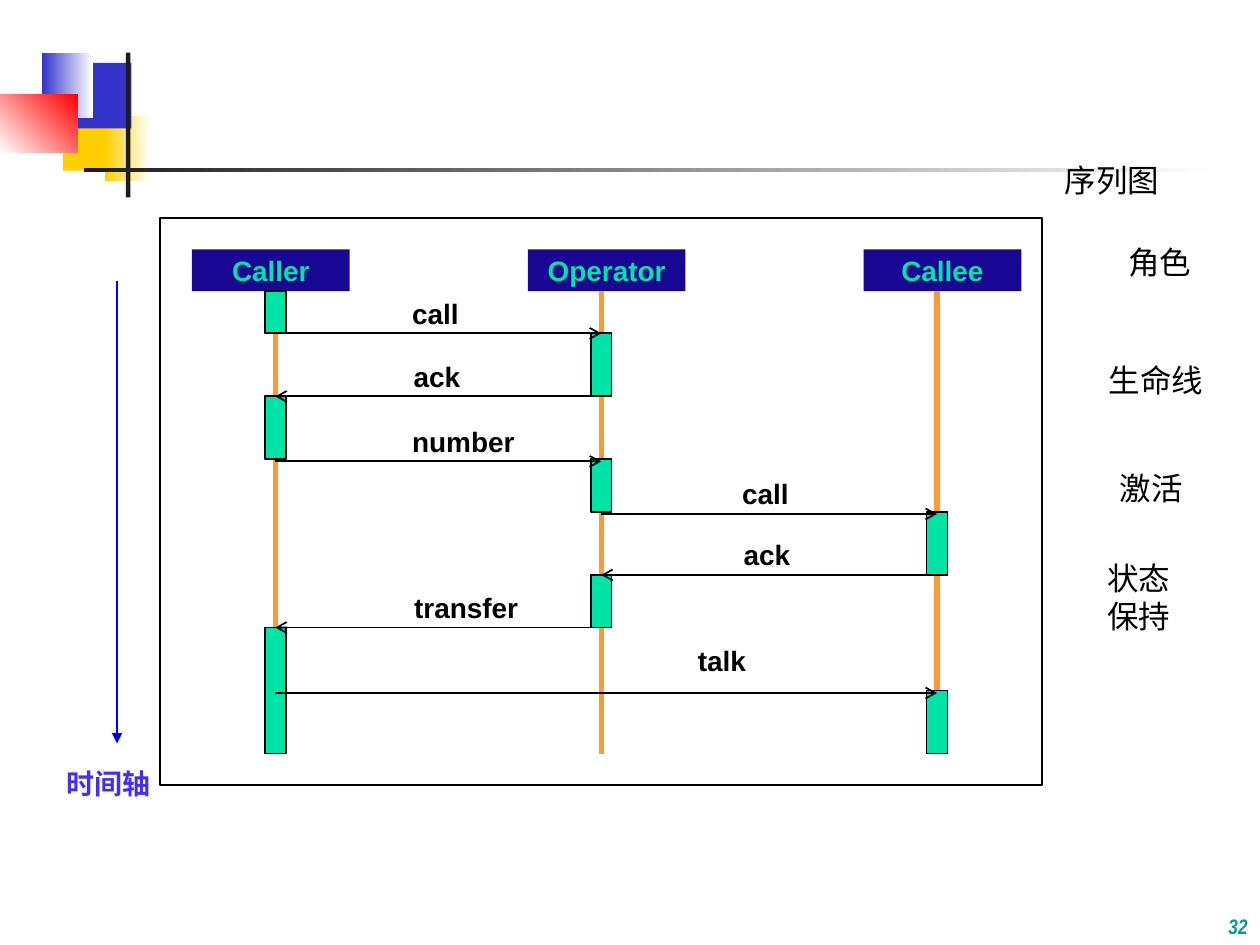
from dataclasses import dataclass
from lxml.etree import SubElement
from pptx import Presentation
from pptx.dml.color import RGBColor
from pptx.enum.shapes import MSO_CONNECTOR, MSO_SHAPE
from pptx.enum.text import MSO_ANCHOR, PP_ALIGN
from pptx.oxml.ns import qn
from pptx.util import Cm, Pt


@dataclass(frozen=True)
class Theme:
    """Colours, fonts and type sizes of the slide."""
    ink: str = "000000"
    bar: str = "1C1C1C"
    white: str = "FFFFFF"
    gold: str = "FFCF01"
    blue: str = "3333CC"
    red: str = "FF0000"
    navy: str = "180793"
    mint: str = "00E4A8"
    lane: str = "FF9933"
    axis: str = "0000FF"
    time: str = "452DF5"
    teal: str = "009999"
    font: str = "Arial"
    thin: str = "Arial Narrow"
    small: int = 12
    label: int = 16
    note: int = 18


T = Theme()


def rgb(code):
    """Turn a hex code into a colour."""
    return RGBColor.from_string(code)


def block(slide, x, y, w, h, fill=None, line=None, fade=None, angle=0):
    """Draw a rectangle with a plain, faded or empty fill."""
    shape = slide.shapes.add_shape(MSO_SHAPE.RECTANGLE, Cm(x), Cm(y), Cm(w), Cm(h))
    shape.shadow.inherit = False
    if fade:
        shape.fill.gradient()
        shape.fill.gradient_angle = angle
        for stop, code, place in zip(shape.fill.gradient_stops, (fill, fade), (0, 1)):
            stop.color.rgb = rgb(code)
            stop.position = place
    elif fill:
        shape.fill.solid()
        shape.fill.fore_color.rgb = rgb(fill)
    else:
        shape.fill.background()
    if line:
        shape.line.color.rgb = rgb(line)
        shape.line.width = Pt(1)
    else:
        shape.line.fill.background()
    return shape


def write(shape, text, size, color, bold=False, italic=False, font=T.font,
          align=PP_ALIGN.LEFT, anchor=MSO_ANCHOR.TOP):
    """Put one styled run into a shape."""
    frame = shape.text_frame
    frame.word_wrap = True
    frame.vertical_anchor = anchor
    para = frame.paragraphs[0]
    para.alignment = align
    run = para.add_run()
    run.text = text
    run.font.name = font
    run.font.size = Pt(size)
    run.font.bold = bold
    run.font.italic = italic
    run.font.color.rgb = rgb(color)


def label(slide, x, y, w, h, text, size, color, **style):
    """Add a text box."""
    write(slide.shapes.add_textbox(Cm(x), Cm(y), Cm(w), Cm(h)), text, size, color, **style)


def link(slide, x1, y1, x2, y2, color, width=1, head=None):
    """Draw a straight line with an optional arrowhead."""
    line = slide.shapes.add_connector(MSO_CONNECTOR.STRAIGHT, Cm(x1), Cm(y1), Cm(x2), Cm(y2))
    line.line.color.rgb = rgb(color)
    line.line.width = Pt(width)
    if head:
        SubElement(line.line._get_or_add_ln(), qn("a:tailEnd"), type=head)
    SubElement(line._element.spPr, qn("a:effectLst"))


def motif(slide, x, y):
    """Draw the corner squares and the title rules."""
    for dx, dy, w, h, fill, fade, angle in (
        (1.27, 1.06, 1.22, 1.32, T.gold, None, 0),
        (2.12, 1.27, 0.91, 1.32, T.gold, T.white, 0),
        (1.48, 0.21, 1.17, 1.32, T.blue, None, 0),
        (0.85, 0, 1.02, 1.32, T.blue, T.white, 0),
        (0, 0.85, 1.56, 1.17, T.white, T.red, 45),
        (2.54, 0, 0.09, 2.92, T.bar, None, 0),
        (1.69, 2.33, 22.86, 0.08, T.bar, T.white, 0),
    ):
        block(slide, x + dx, y + dy, w, h, fill, fade=fade, angle=angle)


def chart(slide, x, y, w, h):
    """Draw the sequence diagram inside its frame."""
    lanes = (2.32, 8.89, 15.66)
    top, end, thick, rise = 1.48, 10.8, 0.42, 0.87
    block(slide, x, y, w, h, line=T.ink)
    for i, name in enumerate(("Caller", "Operator", "Callee")):
        head = block(slide, x + 0.64 + 6.77 * i, y + 0.64, 3.18, top - 0.64, T.navy)
        write(head, name, T.label, T.mint, bold=True,
              align=PP_ALIGN.CENTER, anchor=MSO_ANCHOR.MIDDLE)
    for lane in lanes:
        link(slide, x + lane, y + top, x + lane, y + end, T.lane, 3)
    for i, start, stop in (
        (0, top, 2.33), (1, 2.33, 3.6), (0, 3.6, 4.87), (1, 4.87, 5.93),
        (2, 5.93, 7.2), (1, 7.2, 8.26), (0, 8.26, end), (2, 9.53, end),
    ):
        block(slide, x + lanes[i] - thick / 2, y + start, thick, stop - start, T.mint, T.ink)
    for a, b, dy, text, dx, lift in (
        (0, 1, 2.33, "call", 4.83, rise),
        (1, 0, 3.6, "ack", 4.86, rise),
        (0, 1, 4.91, "number", 4.83, rise),
        (1, 2, 5.97, "call", 11.48, rise),
        (2, 1, 7.2, "ack", 11.51, rise),
        (0, 2, 9.58, "talk", 10.59, 1.12),
        (1, 0, 8.26, "transfer", 4.87, rise),
    ):
        link(slide, x + lanes[a], y + dy, x + lanes[b], y + dy, T.ink, head="arrow")
        label(slide, x + dx, y + dy - lift, 2.8, 0.94, text, T.label, T.ink, bold=True)


def clock(slide, x, y, w, h):
    """Draw the time axis with its name below."""
    link(slide, x + w / 2, y, x + w / 2, y + h, T.axis, head="triangle")
    label(slide, x, y + h + 0.33, w, 0.94, "时间轴", T.label, T.time, bold=True)


def notes(slide, x, y):
    """Place the terms beside the diagram."""
    mid = PP_ALIGN.CENTER
    for dx, dy, w, h, text, align in (
        (0, 0, 2.97, 1.02, "序列图", PP_ALIGN.LEFT),
        (0.61, 4.04, 2.97, 1.02, "生命线", mid),
        (0.51, 6.22, 2.97, 1.02, "激活", mid),
        (0.66, 8.03, 2.18, 1.78, "状态保持", mid),
        (0.89, 1.65, 2.57, 1.02, "角色", mid),
    ):
        label(slide, x + dx, y + dy, w, h, text, T.note, T.ink, align=align)


def main():
    """Build and save the slide."""
    deck = Presentation()
    deck.slide_width, deck.slide_height = Cm(25.4), Cm(19.05)
    slide = deck.slides.add_slide(deck.slide_layouts[6])
    motif(slide, 0, 1.06)
    label(slide, 21.17, 17.78, 4.23, 1.27, "32", T.small, T.teal, bold=True, italic=True,
          font=T.thin, align=PP_ALIGN.RIGHT, anchor=MSO_ANCHOR.BOTTOM)
    chart(slide, 3.23, 4.39, 17.78, 11.43)
    clock(slide, 1.09, 5.66, 2.54, 9.33)
    notes(slide, 21.21, 3.12)
    deck.save("out.pptx")


if __name__ == "__main__":
    main()
